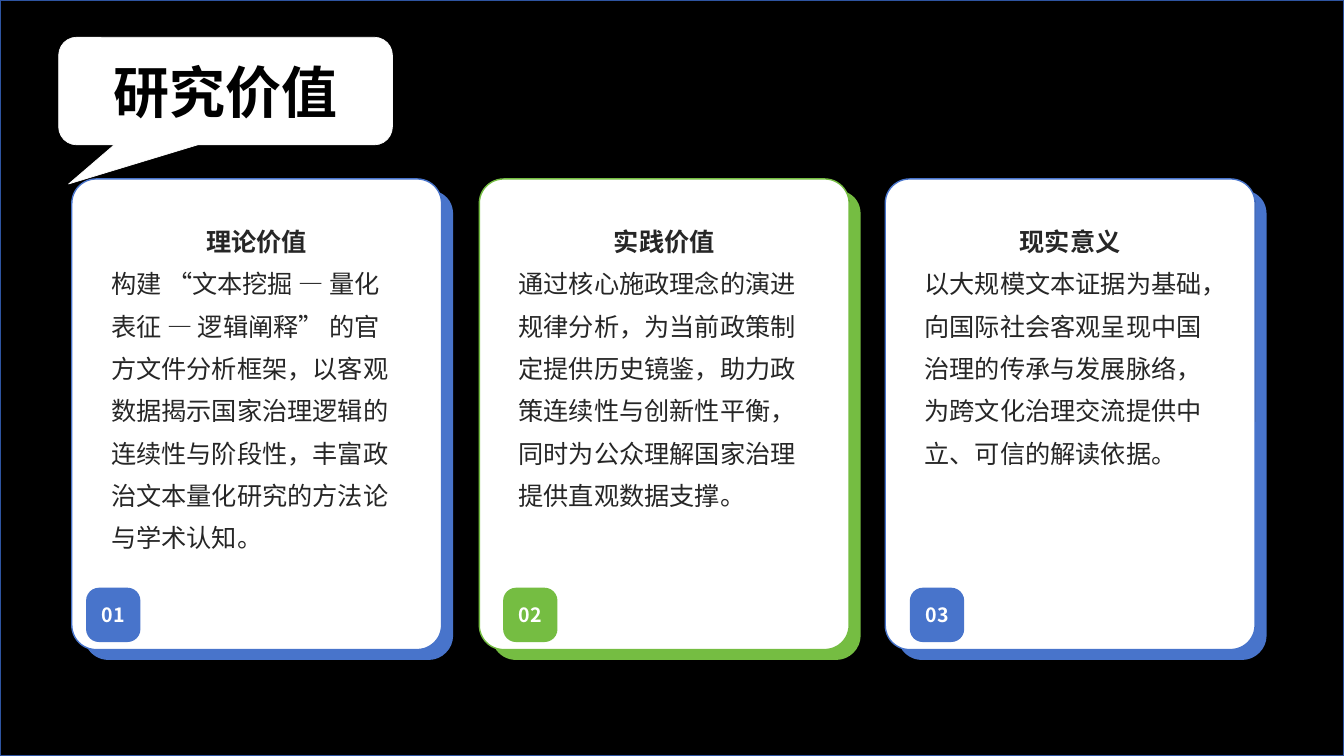
from dataclasses import dataclass

from lxml.etree import SubElement
from pptx import Presentation
from pptx.dml.color import RGBColor
from pptx.enum.shapes import MSO_SHAPE
from pptx.enum.text import MSO_ANCHOR, PP_ALIGN
from pptx.oxml.ns import qn
from pptx.util import Cm, Pt

TITLE = "研究价值"
CARDS = [
    {"heading": "理论价值", "number": "01", "accent": "4874CB", "font": "Noto Sans CJK SC",
     "left": 1.81, "badge_left": 2.17, "rim_on_top": True,
     "body": "构建 “文本挖掘 — 量化表征 — 逻辑阐释” 的官方文件分析框架，以客观数据揭示"
             "国家治理逻辑的连续性与阶段性，丰富政治文本量化研究的方法论与学术认知。"},
    {"heading": "实践价值", "number": "02", "accent": "75BD42", "font": "Arial",
     "left": 12.08, "badge_left": 12.68, "rim_on_top": False,
     "body": "通过核心施政理念的演进规律分析，为当前政策制定提供历史镜鉴，助力政策连续性"
             "与创新性平衡，同时为公众理解国家治理提供直观数据支撑。"},
    {"heading": "现实意义", "number": "03", "accent": "4874CB", "font": "Arial",
     "left": 22.31, "badge_left": 22.93, "rim_on_top": False,
     "body": "以大规模文本证据为基础，向国际社会客观呈现中国治理的传承与发展脉络，"
             "为跨文化治理交流提供中立、可信的解读依据。"},
]


@dataclass(frozen=True)
class Theme:
    backdrop: str = "000000"
    backdrop_line: str = "2E54A1"
    paper: str = "FFFFFF"
    callout_line: str = "FAFAFA"
    title_ink: str = "000000"
    ink: str = "262626"
    latin: str = "Arial"
    chinese: str = "Noto Sans CJK SC"
    title_size: int = 40
    card_size: int = 18
    badge_size: int = 14


THEME = Theme()
SLIDE_WIDTH, SLIDE_HEIGHT = 33.87, 19.05
CARD_TOP, CARD_WIDTH, CARD_HEIGHT = 4.51, 9.32, 11.86
BADGE_TOP, BADGE_SIDE = 14.81, 1.37
RIM_OFFSET, RIM_TOP = 0.36, 4.84
RIM_START = (8.89, 0)
# One point is a straight side, three points are a curved corner.
RIM_SEGMENTS = [
    [(9.12, 0.1), (9.25, 0.3), (9.25, 0.56)],
    [(9.25, 11.18)],
    [(9.25, 11.51), (8.97, 11.79), (8.64, 11.79)],
    [(0.56, 11.79)],
    [(0.33, 11.79), (0.13, 11.66), (0.03, 11.48)],
    [(0, 11.46)],
    [(0.03, 11.48)],
    [(0.1, 11.51), (0.18, 11.53), (0.28, 11.53)],
    [(8.36, 11.53)],
    [(8.69, 11.53), (8.97, 11.25), (8.97, 10.9)],
    [(8.97, 0.28)],
    [(8.97, 0.18), (8.94, 0.08), (8.89, 0)],
]


def paint(shape, fill, line=None, width=1):
    shape.shadow.inherit = False
    shape.fill.solid()
    shape.fill.fore_color.rgb = RGBColor.from_string(fill)
    if line:
        shape.line.color.rgb = RGBColor.from_string(line)
        shape.line.width = Pt(width)
    else:
        shape.line.fill.background()


def add_block(page, kind, left, top, width, height, adjustments=()):
    shape = page.shapes.add_shape(kind, Cm(left), Cm(top), Cm(width), Cm(height))
    for index, value in enumerate(adjustments):
        shape.adjustments[index] = value
    return shape


def write(para, text, size, color, font, bold=True, align=PP_ALIGN.CENTER):
    para.alignment = align
    span = para.add_run()
    span.text = text
    span.font.size = Pt(size)
    span.font.bold = bold
    span.font.name = font
    span.font.color.rgb = RGBColor.from_string(color)
    SubElement(span.font._element, qn("a:ea"), typeface=THEME.chinese)


def add_rim(page, card):
    """Coloured rim that shows to the right of and below a card."""
    def place(point):
        return Cm(card["left"] + RIM_OFFSET + point[0]), Cm(RIM_TOP + point[1])

    builder = page.shapes.build_freeform(*place(RIM_START))
    builder.add_line_segments([place(point) for segment in RIM_SEGMENTS for point in segment],
                              close=True)
    rim = builder.convert_to_shape()
    lines = iter(list(rim._element.iter(qn("a:lnTo"))))
    for segment in RIM_SEGMENTS:
        first, *others = [next(lines) for _ in segment]
        if others:
            first.tag = qn("a:cubicBezTo")
            for other in others:
                first.append(other[0])
                other.getparent().remove(other)
    paint(rim, card["accent"])


def add_panel(page, card):
    box = add_block(page, MSO_SHAPE.ROUNDED_RECTANGLE, card["left"], CARD_TOP,
                    CARD_WIDTH, CARD_HEIGHT, [0.066])
    paint(box, THEME.paper, card["accent"])
    frame = box.text_frame
    frame.word_wrap = True
    frame.vertical_anchor = MSO_ANCHOR.TOP
    frame.margin_left = frame.margin_right = Cm(0.81)
    frame.margin_top, frame.margin_bottom = Cm(0.71), Cm(1.93)
    heading, body = frame.paragraphs[0], frame.add_paragraph()
    heading.line_spacing = body.line_spacing = 1.4
    write(heading, card["heading"], THEME.card_size, THEME.ink, card["font"])
    write(body, card["body"], THEME.card_size, THEME.ink, card["font"], False, PP_ALIGN.LEFT)


def add_badge(page, card):
    badge = add_block(page, MSO_SHAPE.ROUNDED_RECTANGLE, card["badge_left"], BADGE_TOP,
                      BADGE_SIDE, BADGE_SIDE, [0.238])
    paint(badge, card["accent"])
    badge.text_frame.word_wrap = False
    badge.text_frame.vertical_anchor = MSO_ANCHOR.MIDDLE
    write(badge.text_frame.paragraphs[0], card["number"], THEME.badge_size,
          THEME.paper, THEME.chinese)


def main():
    deck = Presentation()
    deck.slide_width, deck.slide_height = Cm(SLIDE_WIDTH), Cm(SLIDE_HEIGHT)
    page = deck.slides.add_slide(deck.slide_layouts[6])

    backdrop = add_block(page, MSO_SHAPE.RECTANGLE, 0, 0, SLIDE_WIDTH, SLIDE_HEIGHT)
    paint(backdrop, THEME.backdrop, THEME.backdrop_line)

    callout = add_block(page, MSO_SHAPE.ROUNDED_RECTANGULAR_CALLOUT, 1.48, 0.94, 8.41, 2.71,
                        [-0.47, 0.864, 0.167])
    paint(callout, THEME.paper, THEME.callout_line, 0.5)
    callout.text_frame.word_wrap = True
    callout.text_frame.vertical_anchor = MSO_ANCHOR.MIDDLE
    write(callout.text_frame.paragraphs[0], TITLE, THEME.title_size, THEME.title_ink, THEME.latin)

    for card in CARDS:
        layers = [add_panel, add_badge]
        layers.insert(2 if card["rim_on_top"] else 0, add_rim)
        for add_layer in layers:
            add_layer(page, card)
    deck.save("out.pptx")


if __name__ == "__main__":
    main()
